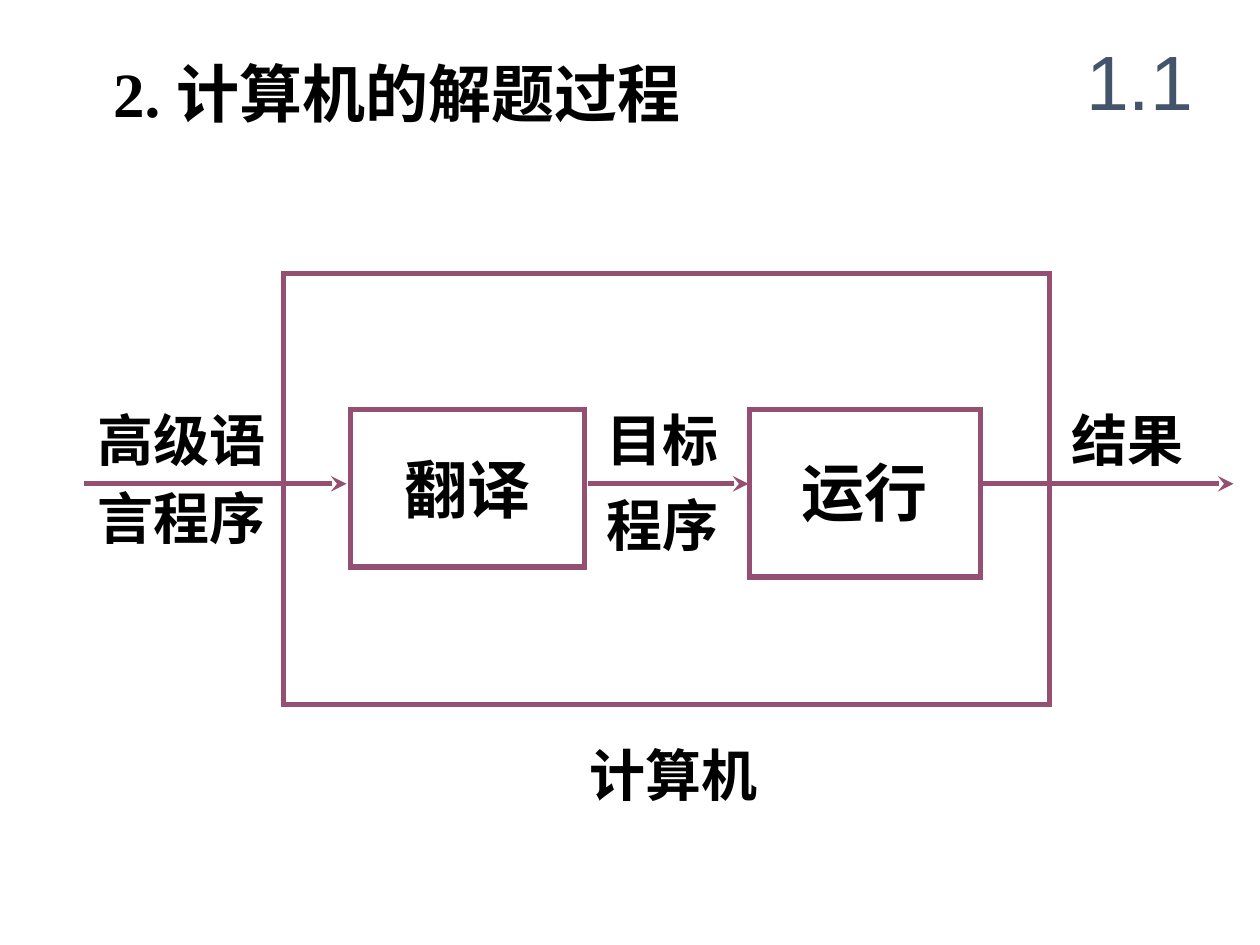
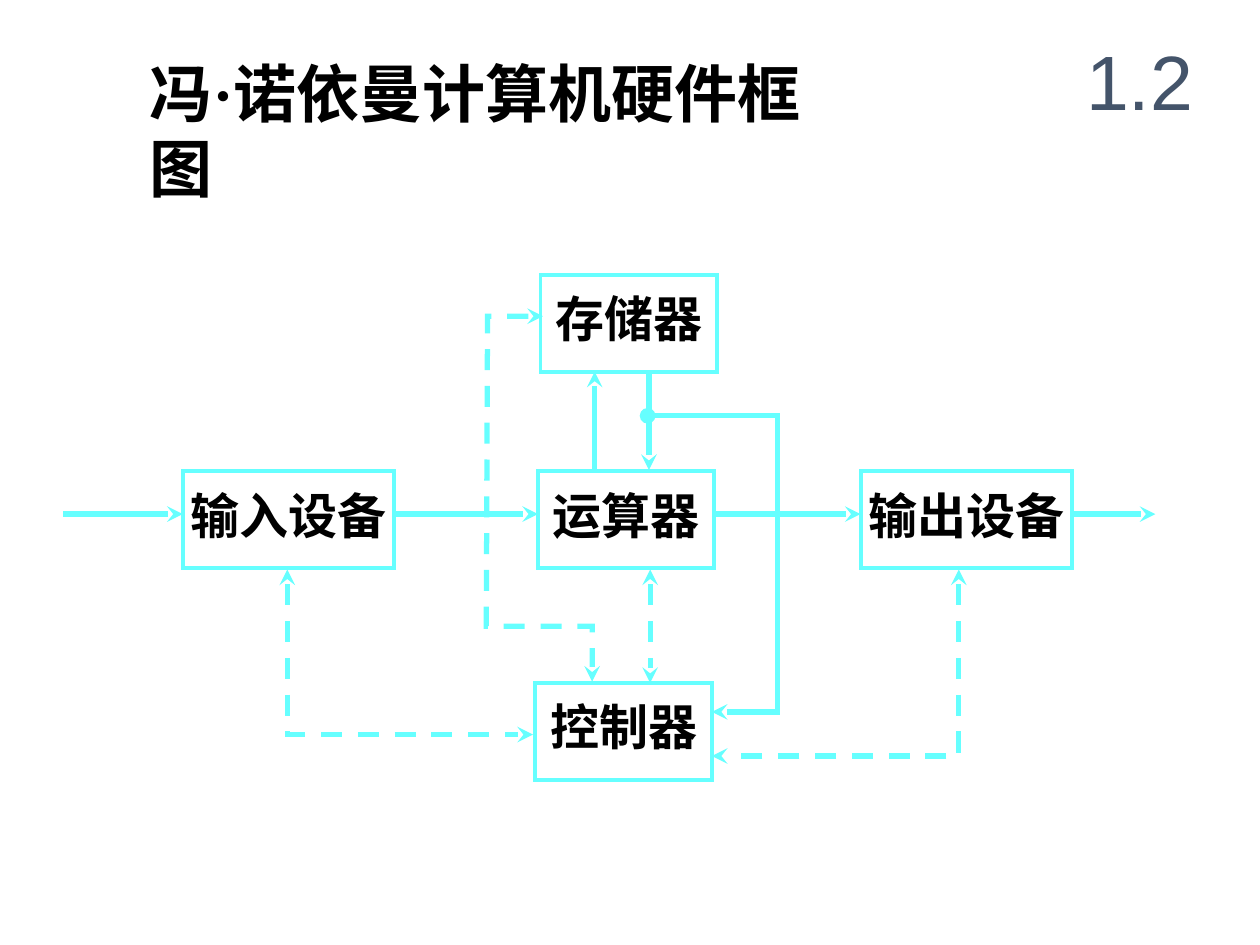
from dataclasses import dataclass
from lxml.etree import SubElement
from pptx import Presentation
from pptx.dml.color import RGBColor
from pptx.enum.dml import MSO_LINE
from pptx.enum.shapes import MSO_CONNECTOR, MSO_SHAPE
from pptx.enum.text import MSO_ANCHOR, PP_ALIGN
from pptx.oxml.ns import qn
from pptx.util import Pt

SCALE = 9144


@dataclass(frozen=True)
class Theme:
    """Colours, fonts and type sizes of the deck."""
    ink: str = "000000"
    slate: str = "44546A"
    plum: str = "954F72"
    cyan: str = "66FFFF"
    han: str = "Noto Sans CJK SC"
    serif: str = "Times New Roman"
    sans: str = "Arial"
    number: int = 44
    title: int = 36
    label: int = 32
    unit: int = 28
    stroke: float = 3
    thin: float = 2.25


class Deck:
    """Draws elements on the current slide in one style."""

    def __init__(self, theme):
        """Open an empty deck."""
        self.theme = theme
        self.file = Presentation()
        self.file.slide_width = 1000 * SCALE
        self.file.slide_height = 750 * SCALE

    def page(self, number, color):
        """Start a slide with its number and line colour."""
        self.slide = self.file.slides.add_slide(self.file.slide_layouts[6])
        self.shapes = self.slide.shapes
        self.color = color
        frame = self.frame(842, 17, 125, 92)
        frame.word_wrap = True
        frame.vertical_anchor = MSO_ANCHOR.MIDDLE
        frame.text = number
        frame.paragraphs[0].alignment = PP_ALIGN.CENTER
        self.style(frame, self.theme.number, self.theme.slate, self.theme.sans, False)

    def frame(self, *area):
        """Add a text box and return its frame."""
        return self.shapes.add_textbox(*(n * SCALE for n in area)).text_frame

    def style(self, frame, size, color, face, bold=True):
        """Format every run of a frame."""
        for run in frame.paragraphs[0].runs:
            font = run.font
            font.size, font.bold, font.name = Pt(size), bold, face
            font.color.rgb = RGBColor.from_string(color)
            east = SubElement(font._element, qn("a:ea"))
            east.set("typeface", self.theme.han)

    def title(self, left, width, *parts):
        """Add the slide title, one run for each part."""
        frame = self.frame(left, 38, width, 70)
        frame.word_wrap = True
        for part in parts:
            frame.paragraphs[0].add_run().text = part
        self.style(frame, self.theme.title, self.theme.ink, self.theme.serif)

    def words(self, frame, text, size):
        """Write centred words without side insets or wrapping."""
        frame.word_wrap = False
        frame.margin_left = frame.margin_right = frame.margin_top = 0
        frame.text = text
        frame.paragraphs[0].alignment = PP_ALIGN.CENTER
        self.style(frame, size, self.theme.ink, self.theme.han)

    def label(self, left, top, width, text):
        """Add a free label."""
        frame = self.frame(left, top, width, 53)
        frame.margin_bottom = 0
        self.words(frame, text, self.theme.label)

    def box(self, area, text="", size=0, width=None, drop=0):
        """Add an outlined box with optional words."""
        shape = self.shapes.add_shape(MSO_SHAPE.RECTANGLE, *(n * SCALE for n in area))
        shape.shadow.inherit = False
        shape.fill.background()
        self.stroke(shape.line, width or self.theme.stroke)
        if text:
            frame = shape.text_frame
            frame.vertical_anchor = MSO_ANCHOR.MIDDLE
            frame.margin_bottom = drop * SCALE
            self.words(frame, text, size)

    def stroke(self, line, width, dash=False, head=None, tail=None):
        """Set a line's colour, width, dash and ends."""
        line.color.rgb = RGBColor.from_string(self.color)
        line.width = Pt(width)
        if dash:
            line.dash_style = MSO_LINE.DASH
        root = line._get_or_add_ln()
        SubElement(root, qn("a:miter")).set("lim", "800000")
        for tag, kind in (("a:headEnd", head), ("a:tailEnd", tail)):
            if kind:
                SubElement(root, qn(tag)).set("type", kind)

    def arrow(self, start, end, both=False):
        """Add a straight arrow, dashed when it points both ways."""
        ends = (n * SCALE for n in (*start, *end))
        link = self.shapes.add_connector(MSO_CONNECTOR.STRAIGHT, *ends)
        head = "stealth" if both else None
        self.stroke(link.line, self.theme.stroke, both, head, "stealth")
        SubElement(link._element.spPr, qn("a:effectLst"))

    def bend(self, points, dash=True, head="stealth"):
        """Add an arrow that turns corners."""
        pen = self.shapes.build_freeform(*points[0], scale=SCALE)
        pen.add_line_segments(points[1:], close=False)
        shape = pen.convert_to_shape()
        shape.shadow.inherit = False
        shape.fill.background()
        self.stroke(shape.line, self.theme.stroke, dash, head, "stealth")


def solve(deck):
    """Draw how a computer solves a problem."""
    theme = deck.theme
    deck.page("1.1", theme.plum)
    deck.title(80, 637, "2. 计算机的解题过程")
    deck.box((225, 217, 608, 342))
    for left, top, width, text in (
        (468, 588, 134, "计算机"),
        (77, 322, 134, "高级语"),
        (77, 384, 134, "言程序"),
        (481, 322, 89, "目标"),
        (481, 389, 89, "程序"),
        (850, 322, 89, "结果"),
    ):
        deck.label(left, top, width, text)
    for start, end in ((67, 275), (467, 594), (778, 979)):
        deck.arrow((start, 384), (end, 384))
    deck.box((278, 325, 186, 125), "翻译", theme.title)
    deck.box((595, 325, 183, 133), "运行", theme.title, drop=3)


def parts(deck):
    """Draw the hardware units and their links."""
    theme = deck.theme
    deck.page("1.2", theme.cyan)
    deck.title(109, 583, "冯", "·", "诺依曼计算机硬件框图")
    for left, top, width, text in (
        (429, 218, 140, "存储器"),
        (145, 374, 168, "输入设备"),
        (427, 374, 140, "运算器"),
        (425, 542, 140, "控制器"),
        (683, 374, 168, "输出设备"),
    ):
        deck.box((left, top, width, 77), text, theme.unit, theme.thin, 8)
    deck.bend([(228, 452), (228, 583), (423, 583)])
    deck.bend([(431, 251), (387, 251), (386, 497), (470, 497), (470, 541)])
    deck.bend([(761, 452), (761, 600), (565, 600)])
    deck.bend([(514, 330), (617, 330), (617, 565), (565, 565)], False, "oval")
    deck.arrow((516, 452), (516, 542), both=True)
    deck.arrow((472, 374), (472, 295))
    deck.arrow((515, 295), (515, 373))
    for start, end in ((50, 145), (312, 427), (567, 683), (852, 917)):
        deck.arrow((start, 408), (end, 408))


def main():
    """Build and save both slides."""
    deck = Deck(Theme())
    solve(deck)
    parts(deck)
    deck.file.save("out.pptx")


if __name__ == "__main__":
    main()
